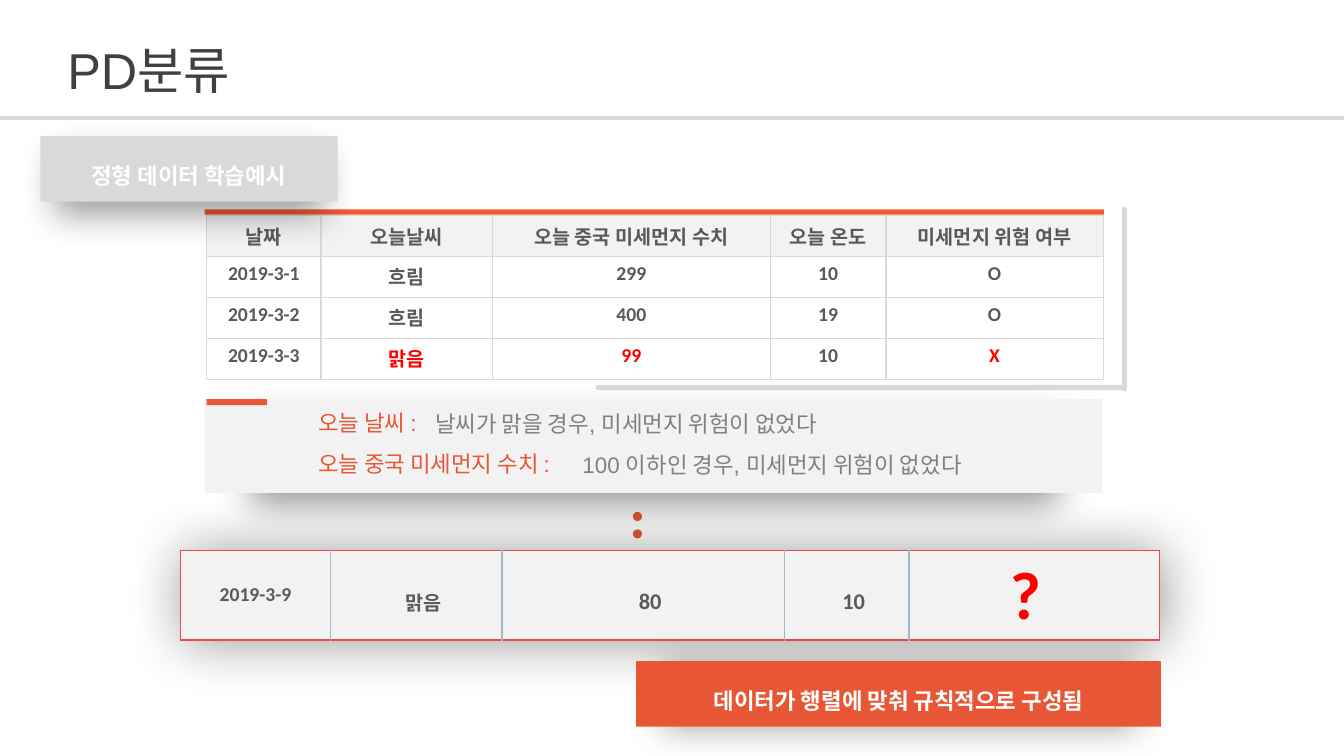
from lxml.etree import SubElement as Sub
from pptx import Presentation
from pptx.dml.color import RGBColor as Rgb
from pptx.enum.shapes import MSO_CONNECTOR as Conn, MSO_SHAPE as Kind
from pptx.enum.text import MSO_ANCHOR as Anchor, MSO_AUTO_SIZE as Fit, PP_ALIGN as Align
from pptx.oxml.ns import qn
from pptx.util import Cm, Pt

HUES = {
    "title": "404040", "rule": "D9D9D9", "text": "595959", "note": "808080",
    "pale": "F2F2F2", "white": "FFFFFF", "red": "FF0000", "accent": "E75735",
    "bar": "F45934", "frame": "E54C4F", "split": "A2B9C9", "shade": "000000",
}
KOREAN = "Noto Sans CJK KR"


def write(frame, text, size=16, hue="text", font="Arial", bold=False,
          align=Align.LEFT, space=1):
    """Fill the first paragraph of a text frame."""
    para = frame.paragraphs[0]
    para.alignment = align
    para.line_spacing = space
    run = para.add_run()
    run.text = text
    run.font.size = Pt(size)
    run.font.bold = bold
    run.font.name = font
    run.font.color.rgb = Rgb.from_string(HUES[hue])
    Sub(run.font._element, qn("a:ea"), typeface=KOREAN)


def shade(props, drop, blur=26, scale=90):
    """Add a soft shadow that falls straight down."""
    effects = Sub(props, qn("a:effectLst"))
    outer = Sub(effects, qn("a:outerShdw"), blurRad=str(Pt(blur)), dist=str(Pt(drop)),
                dir="5400000", sx=f"{scale}000", sy=f"{scale}000", algn="ctr", rotWithShape="0")
    color = Sub(outer, qn("a:srgbClr"), val=HUES["shade"])
    Sub(color, qn("a:alpha"), val="40000")


class Board:
    def __init__(self, deck):
        self.shapes = deck.slides.add_slide(deck.slide_layouts[6]).shapes

    def line(self, x, y, end, hue, width):
        link = self.shapes.add_connector(Conn.STRAIGHT, Cm(x), Cm(y), Cm(end), Cm(y))
        link.line.color.rgb = Rgb.from_string(HUES[hue])
        link.line.width = Pt(width)
        Sub(link._element.spPr, qn("a:effectLst"))

    def shape(self, x, y, w, h, hue, kind=Kind.RECTANGLE, turn=0, drop=None):
        item = self.shapes.add_shape(kind, Cm(x), Cm(y), Cm(w), Cm(h))
        item.fill.solid()
        item.fill.fore_color.rgb = Rgb.from_string(HUES[hue])
        item.line.fill.background()
        item.rotation = turn
        if kind == Kind.ROUNDED_RECTANGLE:
            item.adjustments[0] = 0.5
        if drop is None:
            item.shadow.inherit = False
        else:
            shade(item._element.spPr, drop)
        return item

    def label(self, x, y, w, h, hue, text, drop):
        frame = self.shape(x, y, w, h, hue, drop=drop).text_frame
        frame.vertical_anchor = Anchor.MIDDLE
        write(frame, text, hue="white", font=KOREAN, bold=True,
              align=Align.CENTER, space=1.5)

    def text(self, x, y, w, h, text, wrap=True, **look):
        frame = self.shapes.add_textbox(Cm(x), Cm(y), Cm(w), Cm(h)).text_frame
        frame.word_wrap = wrap
        if not wrap:
            frame.auto_size = Fit.SHAPE_TO_FIT_TEXT
        write(frame, text, **look)
        return frame

    def table(self, x, y, widths, height, count):
        grid = self.shapes.add_table(count, len(widths), Cm(x), Cm(y),
                                     Cm(sum(widths)), Cm(height * count)).table
        grid.first_row = grid.horz_banding = False
        for col, width in zip(grid.columns, widths):
            col.width = Cm(width)
        for row in grid.rows:
            row.height = Cm(height)
        return grid

    def cell(self, cell, text, edges, fill=None, anchor=Anchor.TOP, **look):
        """Style one cell; edges gives the left, right, top and bottom hues."""
        props = cell._tc.get_or_add_tcPr()
        for side, hue in zip("LRTB", edges):
            edge = Sub(props, qn(f"a:ln{side}"), w=str(Pt(1)))
            Sub(Sub(edge, qn("a:solidFill")), qn("a:srgbClr"), val=HUES[hue])
        if fill:
            cell.fill.solid()
            cell.fill.fore_color.rgb = Rgb.from_string(HUES[fill])
        else:
            cell.fill.background()
        cell.vertical_anchor = anchor
        if text:
            write(cell.text_frame, text, font="Calibri", bold=True,
                  align=Align.CENTER, **look)


DAYS = [
    ["날짜", "오늘날씨", "오늘 중국 미세먼지 수치", "오늘 온도", "미세먼지 위험 여부"],
    ["2019-3-1", "흐림", "299", "10", "O"],
    ["2019-3-2", "흐림", "400", "19", "O"],
    ["2019-3-3", "맑음", "99", "10", "X"],
]
CLUES = {"맑음", "99", "X"}
QUERY = [("2019-3-9", 14), ("맑음", 14), ("80", 16), ("10", 16), ("", 16)]
NOTES = [
    ("오늘 날씨 :", 3.3, "날씨가 맑을 경우, 미세먼지 위험이 없었다", 10.72, 11.18),
    ("오늘 중국 미세먼지 수치 :", 6.88, "100 이하인 경우, 미세먼지 위험이 없었다", 14.43, 11.13),
]


def show_days(board):
    grid = board.table(5.21, 5.44, [2.88, 4.32, 7, 2.92, 5.47], 1.03, len(DAYS))
    fills = ["pale", "white", "white", None]
    for r, (day, fill) in enumerate(zip(DAYS, fills)):
        for c, word in enumerate(day):
            board.cell(grid.cell(r, c), word, ["rule"] * 4, fill,
                       Anchor.TOP if r else Anchor.MIDDLE, size=14,
                       hue="red" if word in CLUES else "text")


def show_query(board):
    grid = board.table(4.55, 13.87, [3.78, 4.32, 7.11, 3.15, 6.32], 2.26, 1)
    shade(grid._tbl.tblPr, 0, blur=40, scale=100)
    # The effect list must come before the table style id.
    grid._tbl.tblPr.insert(0, grid._tbl.tblPr[-1])
    last = len(QUERY) - 1
    for c, (word, size) in enumerate(QUERY):
        cell = grid.cell(0, c)
        edges = ["split" if c else "frame", "frame" if c == last else "split",
                 "frame", "frame"]
        board.cell(cell, word, edges, "pale", Anchor.MIDDLE, size=size,
                   space=1.5 if c else 1)
        if c:
            cell.margin_left = Cm(0.61)


def main():
    deck = Presentation()
    deck.slide_width, deck.slide_height = Cm(33.87), Cm(19.05)
    board = Board(deck)

    board.line(0, 2.97, 33.87, "rule", 3)
    title = board.text(1.7, 0.76, 30.48, 1.98, "PD분류", size=36, hue="title")
    title.margin_left = title.margin_right = 0
    title.vertical_anchor = Anchor.MIDDLE

    show_days(board)
    for y in (12.9, 13.34):
        board.shape(15.95, y, 0.23, 0.23, "accent", Kind.OVAL)
    board.shape(15.01, 9.7, 13.36, 0.13, "rule", Kind.ROUNDED_RECTANGLE)
    board.shape(26.01, 7.47, 4.65, 0.13, "rule", Kind.ROUNDED_RECTANGLE, turn=90)
    board.shape(5.16, 5.28, 22.66, 0.13, "bar")

    show_query(board)
    board.text(25.2, 13.79, 1.3, 2.31, "?", size=48, hue="red", font="Calibri", bold=True)

    board.label(1.02, 3.43, 7.49, 1.65, "rule", "정형 데이터 학습예시", 11)
    board.shape(5.16, 10.06, 22.61, 2.36, "pale", drop=11)
    for i, (key, wide, note, x, w) in enumerate(NOTES):
        y = 10.19 + 1.04 * i
        board.text(x, y + 0.02, w, 0.94, note, wrap=False, hue="note")
        board.text(7.77, y, wide, 0.94, key, hue="accent")
    board.shape(5.21, 10.06, 1.52, 0.15, "accent")
    board.label(16.03, 16.66, 13.23, 1.65, "accent", "데이터가 행렬에 맞춰 규칙적으로 구성됨", 2)

    deck.save("out.pptx")


if __name__ == "__main__":
    main()
